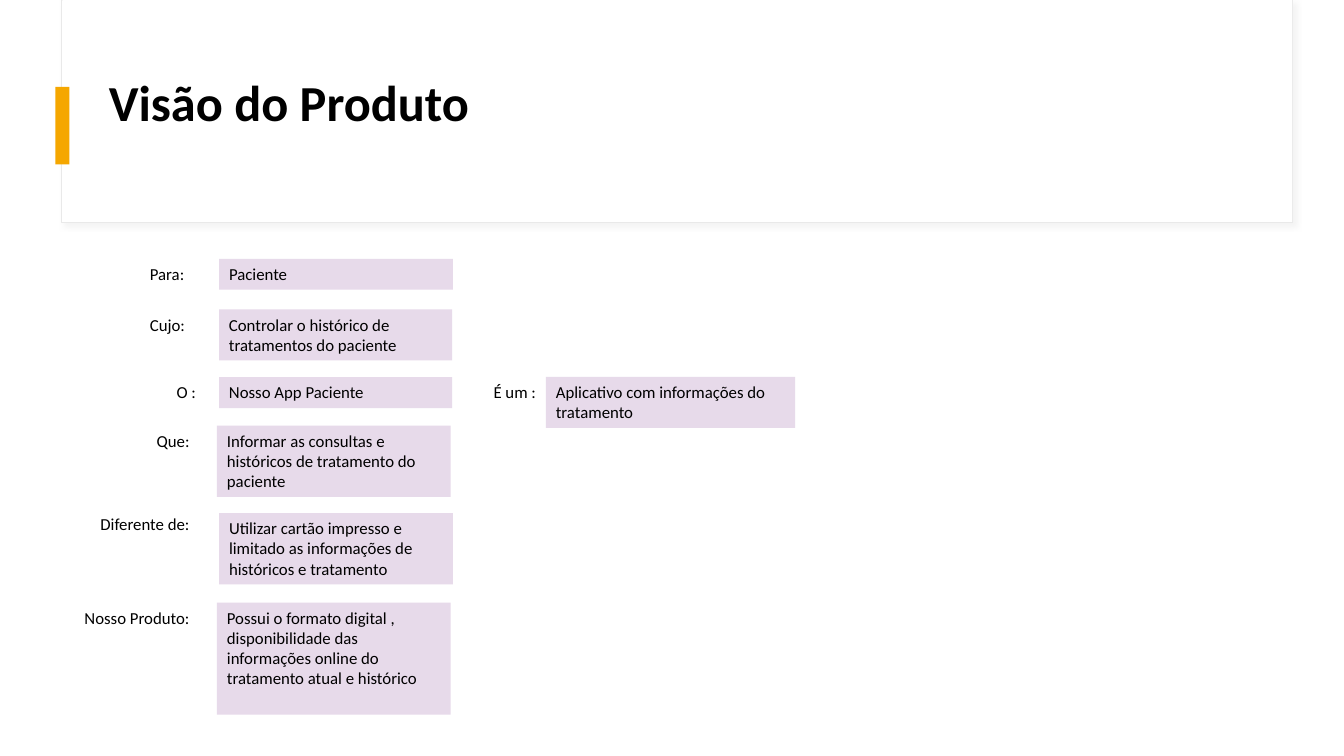
from lxml import etree
from pptx import Presentation
from pptx import util as u
from pptx.dml.color import RGBColor
from pptx.enum import shapes, text
from pptx.oxml import ns

Pt = u.Pt
FONT = "Calibri"
COLORS = {
    "white": "FFFFFF",
    "black": "000000",
    "accent": "F5A700",
    "answer": "E7DAEA",
    "frame": "E9E9E9",
    "shadow": "D9D9D9",
}
LEFT, RIGHT = text.PP_ALIGN.LEFT, text.PP_ALIGN.RIGHT

# (label, alignment, (left, top, width, height)), (answer, (left, top, width, height))
VISION = [
    (("Para:", LEFT, (100, 185, 50, 22)),
     ("Paciente", (156.5, 185, 167, 22))),
    (("Cujo:", LEFT, (100, 221, 50, 22)),
     ("Controlar o histórico\u00a0de tratamentos do paciente", (156.5, 221, 166.5, 36.5))),
    (("O :", RIGHT, (104.5, 269.5, 42.5, 22)),
     ("Nosso App Paciente", (156.5, 269.5, 166.5, 22))),
    (("É um\u00a0:", RIGHT, (338, 269.5, 52, 22)),
     ("Aplicativo com informações do tratamento", (390, 269.2, 178, 36.5))),
    (("Que:", RIGHT, (100, 304, 42.5, 22)),
     ("Informar as consultas e históricos de tratamento do paciente",
      (155, 304, 167, 51))),
    (("Diferente de:", RIGHT, (51, 363.5, 91.5, 22)),
     ("Utilizar cartão impresso e limitado as informações de históricos e tratamento",
      (156.5, 366.5, 167, 51))),
    (("Nosso Produto:", RIGHT, (51, 430.5, 91.5, 36.5)),
     ("Possui o formato digital , disponibilidade das informações\u00a0online "
      "do tratamento atual e histórico", (155, 430.5, 167, 80))),
]


def color(name):
    return RGBColor.from_string(COLORS[name])


def place(box):
    return [Pt(value) for value in box]


def write(frame, wording, size, align=LEFT, bold=False):
    frame.word_wrap = True
    paragraph = frame.paragraphs[0]
    paragraph.alignment = align
    run = paragraph.add_run()
    run.text = wording
    run.font.name = FONT
    run.font.size = Pt(size)
    run.font.bold = bold
    run.font.color.rgb = color("black")
    return paragraph


def add_block(slide, box, fill, line=None):
    block = slide.shapes.add_shape(shapes.MSO_SHAPE.RECTANGLE, *place(box))
    block.shadow.inherit = False
    block.fill.solid()
    block.fill.fore_color.rgb = color(fill)
    if line:
        block.line.color.rgb = color(line)
        block.line.width = Pt(0.75)
    else:
        block.line.fill.background()
    return block


def add_soft_shadow(block):
    effects = block._element.spPr.find(ns.qn("a:effectLst"))
    shadow = etree.SubElement(
        effects, ns.qn("a:outerShdw"), blurRad=str(Pt(4)), dist=str(Pt(3)),
        dir=str(45 * 60000), algn="tl", rotWithShape="0")
    tint = etree.SubElement(shadow, ns.qn("a:srgbClr"), val=COLORS["shadow"])
    etree.SubElement(tint, ns.qn("a:alpha"), val="30000")


def add_header(slide, heading):
    frame = add_block(slide, (44, 0, 879, 159), "white", "frame")
    add_soft_shadow(frame)
    add_block(slide, (44.5, 0, 878.5, 158.5), "white")
    add_block(slide, (39.5, 62, 10, 55.5), "accent")

    title = slide.shapes.title
    title.left, title.top, title.width, title.height = place((70.5, 29, 800.5, 93))
    title.text_frame.vertical_anchor = text.MSO_ANCHOR.MIDDLE
    write(title.text_frame, heading, 36, bold=True).line_spacing = 0.9
    # The title must sit in front of the header panel.
    slide.shapes._spTree.append(title._element)


def add_label(slide, wording, align, box):
    label = slide.shapes.add_textbox(*place(box))
    write(label.text_frame, wording, 12, align)


def add_answer(slide, wording, box):
    answer = add_block(slide, box, "answer")
    answer.text_frame.vertical_anchor = text.MSO_ANCHOR.TOP
    write(answer.text_frame, wording, 12)


def main():
    deck = Presentation()
    deck.slide_width, deck.slide_height = Pt(960), Pt(540)
    slide = deck.slides.add_slide(deck.slide_layouts[5])
    add_header(slide, "Visão do Produto")
    for label, answer in VISION:
        add_label(slide, *label)
        add_answer(slide, *answer)
    deck.save("out.pptx")


if __name__ == "__main__":
    main()
